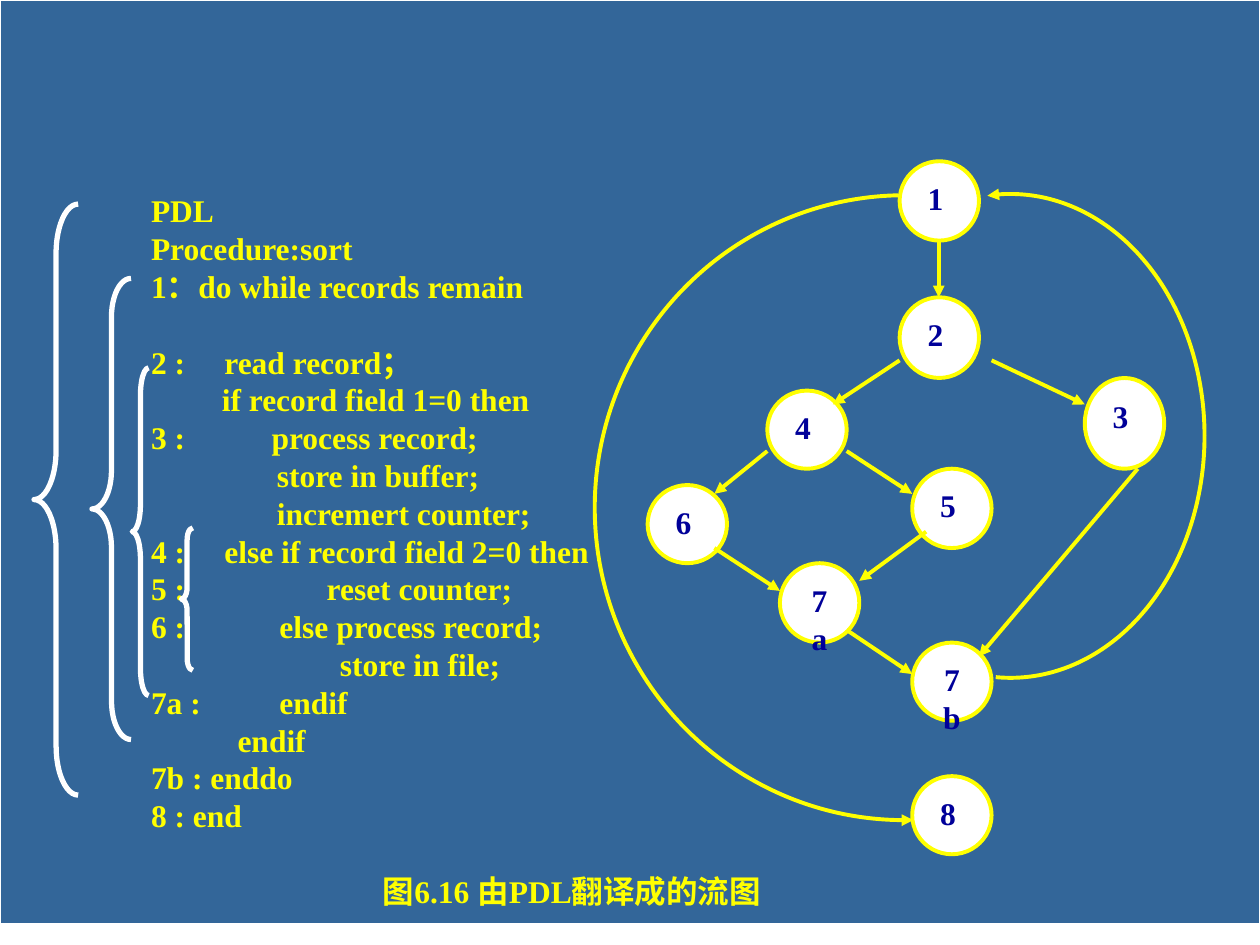
from pptx import Presentation, util as u
from pptx.dml.color import RGBColor
from pptx.enum import shapes as kinds, text as txt
from pptx.oxml.ns import qn
from lxml import etree

# Content: the PDL listing, its nested blocks and the flow graph
PDL = [
    "PDL",
    "Procedure:sort",
    "1：do while records remain",
    "2 :     read record；",
    "         if record field 1=0 then",
    "3 :           process record;",
    "                store in buffer;",
    "                incremert counter;",
    "4 :     else if record field 2=0 then",
    "5 :                  reset counter;",
    "6 :            else process record;",
    "                        store in file;",
    "7a :          endif",
    "           endif",
    "7b : enddo",
    "8 : end",
]
LOOP_HEAD = 2  # a gap of one line follows this line
CAPTION = "图6.16 由PDL翻译成的流图"

# left, top, width, height of each block brace, innermost first
BRACES = [(1.44, 4.19, 0.09, 1.13), (1.05, 2.92, 0.13, 2.6),
          (0.73, 2.21, 0.31, 3.66), (0.27, 1.62, 0.35, 4.69)]

# label: left, top, height
NODES = {
    "1": (7.14, 1.28, 0.63), "2": (7.14, 2.36, 0.64), "3": (8.61, 3, 0.72),
    "7b": (7.24, 5.1, 0.62), "8": (7.24, 6.16, 0.62), "7a": (6.19, 4.47, 0.63),
    "5": (7.24, 3.72, 0.63), "6": (5.14, 3.85, 0.62), "4": (6.09, 3.1, 0.62),
}
NODE_WIDTH = 0.63

EDGES = [  # start x, y, end x, y
    (7.45, 1.91, 7.45, 2.36),  # 1 to 2
    (7.14, 2.86, 6.61, 3.21),  # 2 to 4
    (6.09, 3.58, 5.67, 3.92),  # 4 to 6
    (6.72, 3.58, 7.24, 3.92),  # 4 to 5
    (5.67, 4.35, 6.19, 4.69),  # 6 to 7a
    (6.72, 5, 7.24, 5.35),     # 7a to 7b
    (7.87, 2.86, 8.61, 3.21),  # 2 to 3
    (9.03, 3.72, 7.77, 5.21),  # 3 to 7b
    (7.35, 4.22, 6.82, 4.61),  # 5 to 7a
]
ARCS = [  # centre x, y, radius x, y, start and end angle (clockwise)
    (7.18, 4.03, 2.46, 2.48, 88.4, 268.8),  # 1 to 8
    (8.02, 3.46, 1.54, 1.92, 264.5, 93.5),  # 7b back to 1
]

THEME = {
    "board": RGBColor(0x33, 0x66, 0x99),
    "white": RGBColor(0xFF, 0xFF, 0xFF),
    "yellow": RGBColor(0xFF, 0xFF, 0x00),
    "navy": RGBColor(0x00, 0x00, 0x99),
    "font": "Times New Roman",
    "size": u.Pt(18),
    "pitch": u.Pt(21.6),
    "flow": 2.25,
    "brace": 3,
}


def outline(part, color, points):
    part.line.color.rgb = THEME[color]
    part.line.width = u.Pt(points)


def add_arrowhead(part, end):
    etree.SubElement(part.line._get_or_add_ln(), qn("a:" + end), type="triangle")


def add_shape(slide, kind, box, fill, line, points):
    part = slide.shapes.add_shape(kind, *map(u.Inches, box))
    part.shadow.inherit = False
    if fill:
        part.fill.solid()
        part.fill.fore_color.rgb = THEME[fill]
    else:
        part.fill.background()
    outline(part, line, points)
    return part


def write(part, lines, color, align):
    frame = part.text_frame
    frame.word_wrap = True
    frame.vertical_anchor = txt.MSO_ANCHOR.TOP
    frame.text = "\n".join(lines)
    for paragraph in frame.paragraphs:
        paragraph.alignment = align
        paragraph.line_spacing = THEME["pitch"]
        paragraph.font.name = THEME["font"]
        paragraph.font.size = THEME["size"]
        paragraph.font.bold = True
        paragraph.font.color.rgb = THEME[color]
    return frame


def main():
    deck = Presentation()
    deck.slide_width, deck.slide_height = u.Inches(10), u.Inches(7.5)
    slide = deck.slides.add_slide(deck.slide_layouts[6])
    preset = kinds.MSO_SHAPE

    # Board
    add_shape(slide, preset.RECTANGLE, (0, 0, 10, 7.33), "board", "white", 1)

    # Listing
    listing = slide.shapes.add_textbox(*map(u.Inches, (1.1, 1.47, 3.75, 5.2)))
    code = write(listing, PDL, "yellow", txt.PP_ALIGN.LEFT)
    code.paragraphs[LOOP_HEAD].space_after = THEME["pitch"]

    # Flow graph nodes; single digits sit slightly left of centre
    for label, (left, top, height) in NODES.items():
        node = add_shape(slide, preset.OVAL, (left, top, NODE_WIDTH, height),
                         "white", "yellow", THEME["flow"])
        frame = write(node, [label], "navy", txt.PP_ALIGN.CENTER)
        if len(label) == 1:
            frame.margin_right = u.Inches(0.16)

    # Straight edges
    for ends in EDGES:
        edge = slide.shapes.add_connector(
            kinds.MSO_CONNECTOR.STRAIGHT, *map(u.Inches, ends))
        outline(edge, "yellow", THEME["flow"])
        add_arrowhead(edge, "tailEnd")
        etree.SubElement(edge._element.spPr, qn("a:effectLst"))

    # Curved edges: arcs run clockwise, so the arrowhead is at their start
    for x, y, rx, ry, start, stop in ARCS:
        arc = add_shape(slide, preset.ARC, (x - rx, y - ry, 2 * rx, 2 * ry),
                        None, "yellow", THEME["flow"])
        for i, angle in enumerate((start, stop)):
            arc.adjustments[i] = angle * 0.6  # 60000 units a degree, over 100000
        add_arrowhead(arc, "headEnd")

    # Caption
    caption = slide.shapes.add_textbox(*map(u.Inches, (2.94, 6.87, 3.58, 0.4)))
    write(caption, [CAPTION], "yellow", txt.PP_ALIGN.LEFT)

    # Block braces: each curl is a twelfth of the height
    for box in BRACES:
        brace = add_shape(slide, preset.LEFT_BRACE, box, None, "white", THEME["brace"])
        brace.adjustments[0] = box[3] / 12 / box[2]

    deck.save("out.pptx")


if __name__ == "__main__":
    main()
